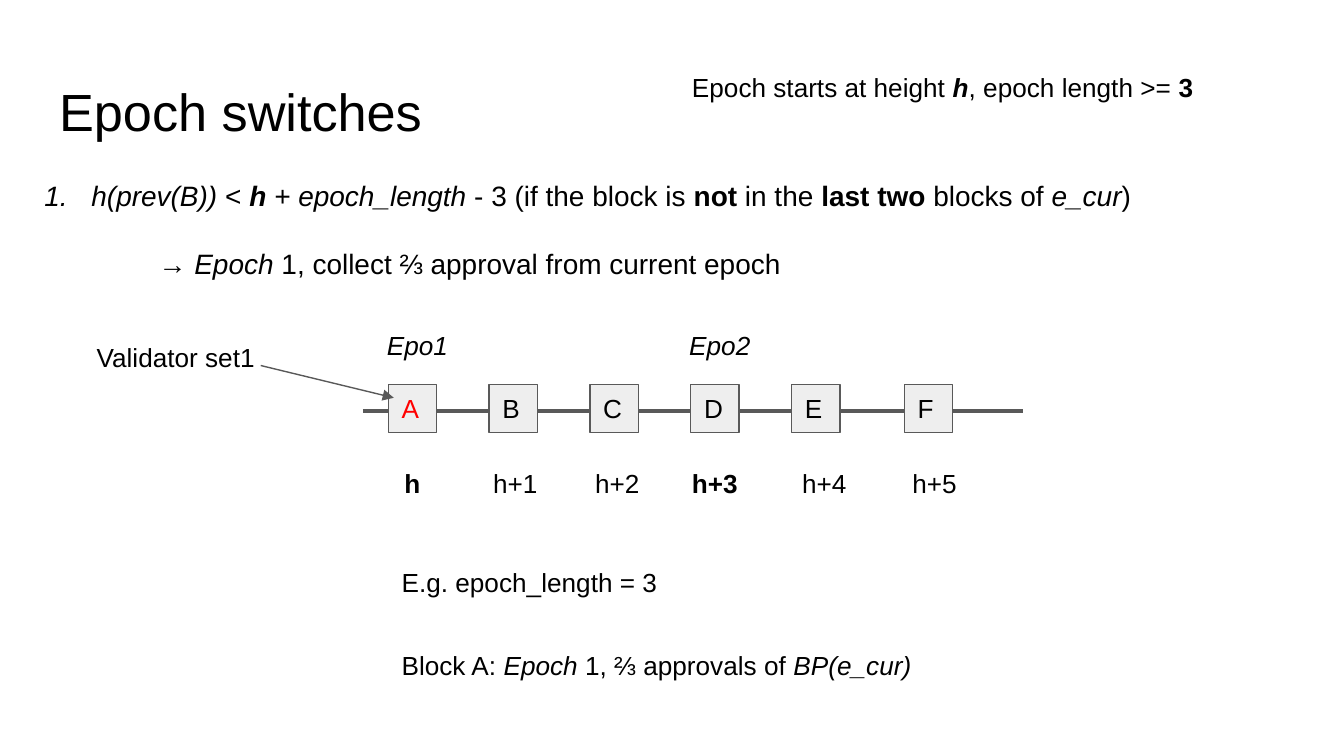
from typing import NamedTuple

from lxml import etree
from pptx import Presentation
from pptx.dml.color import RGBColor
from pptx.enum import shapes, text
from pptx.oxml import ns
from pptx.util import Inches, Pt

COLORS = {"ink": "000000", "accent": "FF0000", "line": "595959", "block": "EEEEEE"}
FONT = "Arial"
BLOCK_SIZE, BLOCK_TOP = 0.36, 2.86


class Span(NamedTuple):
    text: str
    style: str = ""  # any of "b" (bold) and "i" (italic)


class Block(NamedTuple):
    name: str
    left: float
    height: Span
    height_left: float
    color: str = "ink"


class Label(NamedTuple):
    box: tuple[float, float, float, float]
    spans: list[Span]


def rgb(name: str) -> RGBColor:
    return RGBColor.from_string(COLORS[name])


def write(paragraph, spans: list[Span], size: float = 14, color: str = "ink") -> None:
    for span in spans:
        run = paragraph.add_run()
        run.text = span.text
        font = run.font
        font.name, font.size = FONT, Pt(size)
        font.bold, font.italic = "b" in span.style, "i" in span.style
        font.color.rgb = rgb(color)


def set_frame(frame, anchor=text.MSO_ANCHOR.TOP) -> None:
    frame.word_wrap = True
    frame.auto_size = text.MSO_AUTO_SIZE.NONE
    frame.vertical_anchor = anchor
    frame.margin_left = frame.margin_right = Inches(0.1)
    frame.margin_top = frame.margin_bottom = Inches(0.1)


def place(shape, left: float, top: float, width: float, height: float) -> None:
    shape.left, shape.top = Inches(left), Inches(top)
    shape.width, shape.height = Inches(width), Inches(height)
    set_frame(shape.text_frame)


def add_label(slide, label: Label):
    frame = slide.shapes.add_textbox(*map(Inches, label.box)).text_frame
    set_frame(frame)
    write(frame.paragraphs[0], label.spans)
    return frame


def add_block(slide, block: Block) -> None:
    square = slide.shapes.add_shape(
        shapes.MSO_SHAPE.RECTANGLE, Inches(block.left), Inches(BLOCK_TOP),
        Inches(BLOCK_SIZE), Inches(BLOCK_SIZE))
    square.shadow.inherit = False
    square.fill.solid()
    square.fill.fore_color.rgb = rgb("block")
    square.line.color.rgb = rgb("line")
    square.line.width = Pt(0.75)
    set_frame(square.text_frame, text.MSO_ANCHOR.MIDDLE)
    paragraph = square.text_frame.paragraphs[0]
    paragraph.alignment = text.PP_ALIGN.LEFT
    write(paragraph, [Span(block.name)], color=block.color)


def add_line(slide, start: tuple[float, float], end: tuple[float, float],
             width: float, arrow: bool = False) -> None:
    line = slide.shapes.add_connector(
        shapes.MSO_CONNECTOR.STRAIGHT, *map(Inches, start + end))
    line.line.color.rgb = rgb("line")
    line.line.width = Pt(width)
    if arrow:
        outline = line._element.spPr.find(ns.qn("a:ln"))
        etree.SubElement(outline, ns.qn("a:tailEnd"), type="triangle")
    etree.SubElement(line._element.spPr, ns.qn("a:effectLst"))


def set_indent(paragraph, margin: float, indent: float, bullet: str, **attributes: str) -> None:
    properties = paragraph._p.get_or_add_pPr()
    properties.set("marL", str(Inches(margin)))
    properties.set("indent", str(Inches(indent)))
    etree.SubElement(properties, ns.qn(bullet), **attributes)


def add_tabs(paragraph, stops: list[float]) -> None:
    tabs = etree.SubElement(paragraph._p.get_or_add_pPr(), ns.qn("a:tabLst"))
    for stop in stops:
        etree.SubElement(tabs, ns.qn("a:tab"), pos=str(Inches(stop)), algn="l")


STEP = 0.75
BLOCKS = [
    Block("A", 2.89, Span("h", "b"), 3.01, "accent"),
    Block("B", 2.89 + STEP, Span("h+1"), 3.67),
    Block("C", 2.89 + 2 * STEP, Span("h+2"), 4.43),
    Block("D", 2.89 + 3 * STEP, Span("h+3", "b"), 5.15),
    Block("E", 2.89 + 4 * STEP, Span("h+4"), 5.97),
    Block("F", 6.73, Span("h+5"), 6.79),
]
LABELS = [
    Label((2.78, 2.35, 0.78, 0.36), [Span("Epo1", "i")]),
    Label((5.03, 2.35, 0.78, 0.36), [Span("Epo2", "i")]),
    Label((5.05, 0.43, 4.31, 0.51), [
        Span("Epoch starts at height "), Span("h", "bi"),
        Span(", epoch length >="), Span(" 3", "b")]),
    Label((0.62, 2.44, 1.48, 0.51), [Span("Validator set1")]),
]
CONDITION = [
    Span("h(prev(B)) ", "i"), Span("< "), Span("h ", "bi"), Span("+ epoch_length", "i"),
    Span(" - 3 (if the block is "), Span("not", "b"), Span(" in the "),
    Span("last two", "b"), Span(" blocks of "), Span("e_cur", "i"), Span(")")]
OUTCOME = [
    Span("→ "), Span("Epoch", "i"), Span(" 1, collect ⅔ approval from current epoch")]
EXAMPLE = [
    Span("Block A: "), Span("Epoch ", "i"), Span("1, ⅔ approvals of "),
    Span("BP(e_cur)", "i")]


def main() -> None:
    deck = Presentation()
    deck.slide_width = Inches(10)
    deck.slide_height = deck.slide_width * 9 // 16
    slide = deck.slides.add_slide(deck.slide_layouts[1])

    # Title
    title = slide.shapes.title
    place(title, 0.34, 0.49, 9.32, 0.63)
    heading = title.text_frame.paragraphs[0]
    heading.alignment = text.PP_ALIGN.LEFT
    write(heading, [Span("Epoch switches")], size=28)

    # Numbered condition and its outcome
    body = slide.placeholders[1]
    place(body, 0.08, 1.19, 10, 2)
    condition = body.text_frame.paragraphs[0]
    outcome = body.text_frame.add_paragraph()
    for paragraph, spans, gap in ((condition, CONDITION, 0), (outcome, OUTCOME, 16)):
        paragraph.line_spacing = 1.15
        paragraph.space_before = paragraph.space_after = Pt(gap)
        write(paragraph, spans, size=15)
    set_indent(condition, 0.5, -0.35, "a:buAutoNum", type="arabicPeriod")
    set_indent(outcome, 1, 0, "a:buNone")

    # Chain of blocks
    add_line(slide, (2.7, 3.06), (7.61, 3.06), 2.25)
    for block in BLOCKS:
        add_block(slide, block)

    # Heights under the blocks, one tab stop each
    heights_left = 2.2
    heights = add_label(slide, Label(
        (heights_left, 3.38, 6.09, 0.39),
        [Span("\t" + block.height.text, block.height.style) for block in BLOCKS]))
    add_tabs(heights.paragraphs[0],
             [block.height_left - heights_left - 0.1 for block in BLOCKS])

    # Labels and validator pointer
    for label in LABELS:
        add_label(slide, label)
    add_line(slide, (1.94, 2.72), (2.93, 2.96), 0.75, arrow=True)

    # Worked example
    notes = add_label(slide, Label((2.89, 4, 5.3, 1.84), [Span("E.g. epoch_length = 3")]))
    notes.paragraphs[0].line_spacing = 1.5
    example = notes.add_paragraph()
    example.line_spacing = 1.15
    example.space_before = Pt(25)
    write(example, EXAMPLE)

    deck.save("out.pptx")


if __name__ == "__main__":
    main()
